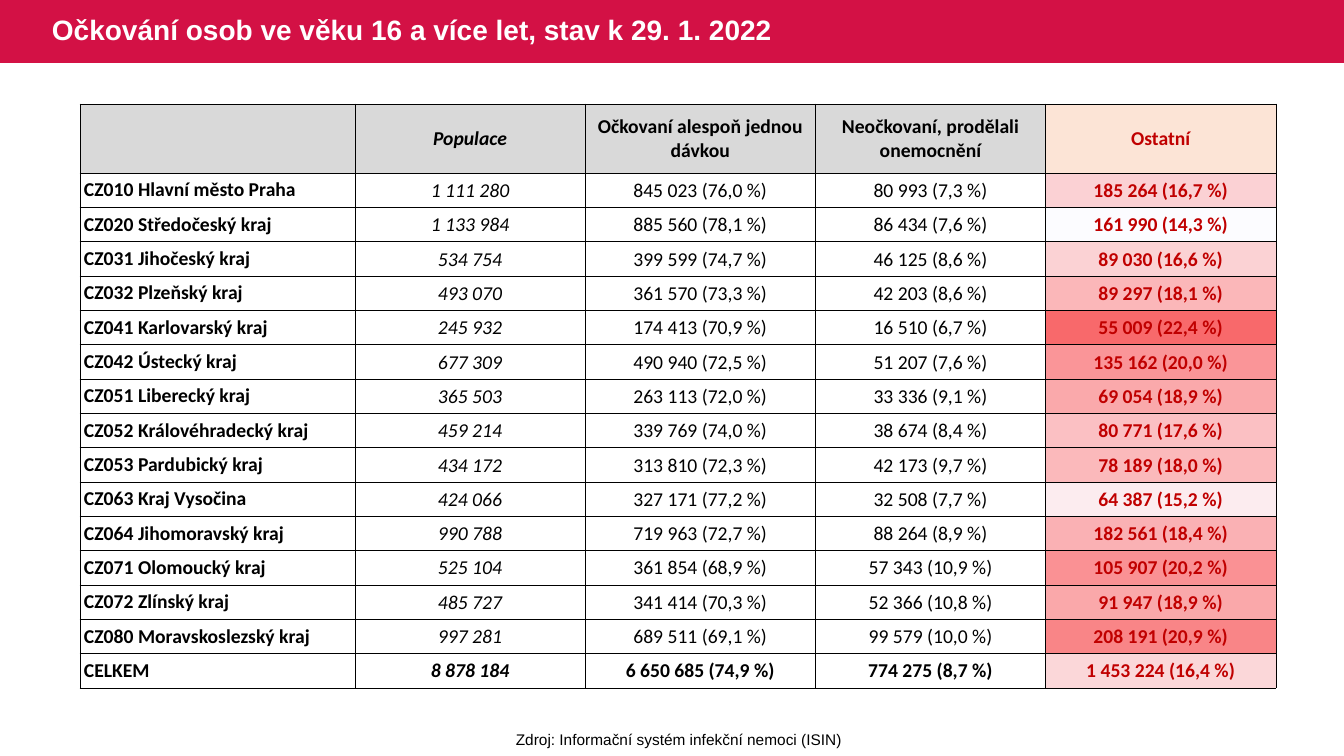
from lxml import etree
from pptx import Presentation
from pptx.dml.color import RGBColor
from pptx.enum.shapes import MSO_SHAPE
from pptx.enum.text import MSO_ANCHOR, PP_ALIGN
from pptx.oxml.ns import qn
from pptx.util import Pt

RECTANGLE = MSO_SHAPE.RECTANGLE
MIDDLE = MSO_ANCHOR.MIDDLE
LEFT, CENTER = PP_ALIGN.LEFT, PP_ALIGN.CENTER

TITLE = "Očkování osob ve věku 16 a více let, stav k 29. 1. 2022"
SOURCE = "Zdroj: Informační systém infekční nemoci (ISIN)"
HEADER = ["", "Populace", "Očkovaní alespoň jednou dávkou",
          "Neočkovaní, prodělali onemocnění", "Ostatní"]
REGIONS = [
    ("CZ010 Hlavní město Praha", "1 111 280", "845 023 (76,0 %)", "80 993 (7,3 %)", "185 264 (16,7 %)", "FBD1D4"),
    ("CZ020 Středočeský kraj", "1 133 984", "885 560 (78,1 %)", "86 434 (7,6 %)", "161 990 (14,3 %)", "FCFCFF"),
    ("CZ031 Jihočeský kraj", "534 754", "399 599 (74,7 %)", "46 125 (8,6 %)", "89 030 (16,6 %)", "FBD2D4"),
    ("CZ032 Plzeňský kraj", "493 070", "361 570 (73,3 %)", "42 203 (8,6 %)", "89 297 (18,1 %)", "FBB7B9"),
    ("CZ041 Karlovarský kraj", "245 932", "174 413 (70,9 %)", "16 510 (6,7 %)", "55 009 (22,4 %)", "F8696B"),
    ("CZ042 Ústecký kraj", "677 309", "490 940 (72,5 %)", "51 207 (7,6 %)", "135 162 (20,0 %)", "FA9598"),
    ("CZ051 Liberecký kraj", "365 503", "263 113 (72,0 %)", "33 336 (9,1 %)", "69 054 (18,9 %)", "FAA9AB"),
    ("CZ052 Královéhradecký kraj", "459 214", "339 769 (74,0 %)", "38 674 (8,4 %)", "80 771 (17,6 %)", "FBC0C3"),
    ("CZ053 Pardubický kraj", "434 172", "313 810 (72,3 %)", "42 173 (9,7 %)", "78 189 (18,0 %)", "FBB9BB"),
    ("CZ063 Kraj Vysočina", "424 066", "327 171 (77,2 %)", "32 508 (7,7 %)", "64 387 (15,2 %)", "FCECEF"),
    ("CZ064 Jihomoravský kraj", "990 788", "719 963 (72,7 %)", "88 264 (8,9 %)", "182 561 (18,4 %)", "FAB1B4"),
    ("CZ071 Olomoucký kraj", "525 104", "361 854 (68,9 %)", "57 343 (10,9 %)", "105 907 (20,2 %)", "FA9194"),
    ("CZ072 Zlínský kraj", "485 727", "341 414 (70,3 %)", "52 366 (10,8 %)", "91 947 (18,9 %)", "FAA8AA"),
    ("CZ080 Moravskoslezský kraj", "997 281", "689 511 (69,1 %)", "99 579 (10,0 %)", "208 191 (20,9 %)", "F98587"),
    ("CELKEM", "8 878 184", "6 650 685 (74,9 %)", "774 275 (8,7 %)", "1 453 224 (16,4 %)", "FBD7D9"),
]
SLIDE_WIDTH, SLIDE_HEIGHT = 1344, 756
BAND_HEIGHT = 63
TABLE_LEFT, TABLE_TOP, TABLE_WIDTH, TABLE_HEIGHT = 80, 104, 1196, 584
NAME_WIDTH, HEADER_HEIGHT = 275, 69
VALUE_WIDTH = (TABLE_WIDTH - NAME_WIDTH) / (len(HEADER) - 1)
ROW_HEIGHT = (TABLE_HEIGHT - HEADER_HEIGHT) / len(REGIONS)
BLACK, WHITE, RED, GREY, PEACH, CRIMSON = "000000", "FFFFFF", "C00000", "D9D9D9", "FCE4D6", "D31145"


def px(value):
    return round(value * 914400 / 100.8)


def color(value):
    return RGBColor.from_string(value)


def style(paragraph, font_name, size, fill, bold=False, italic=False, align=LEFT):
    paragraph.alignment = align
    font = paragraph.font
    font.name, font.size, font.bold, font.italic = font_name, Pt(size), bold, italic
    font.color.rgb = color(fill)


def add_text(slide, box, text, wrap, *font, **options):
    frame = slide.shapes.add_textbox(*map(px, box)).text_frame
    frame.word_wrap = wrap
    frame.vertical_anchor = MIDDLE
    frame.text = text
    style(frame.paragraphs[0], *font, **options)
    return frame.paragraphs[0]


def set_borders(cell, border):
    properties = cell._tc.get_or_add_tcPr()
    for index, side in enumerate(("lnL", "lnR", "lnT", "lnB")):
        line = etree.Element(qn(f"a:{side}"), w=str(Pt(0.5)))
        if border:
            solid = etree.SubElement(line, qn("a:solidFill"))
            etree.SubElement(solid, qn("a:srgbClr"), val=border)
        else:
            etree.SubElement(line, qn("a:noFill"))
        properties.insert(index, line)


def paint_cell(cell, fill, border, side_margin=0, top_margin=0):
    if fill:
        cell.fill.solid()
        cell.fill.fore_color.rgb = color(fill)
    else:
        cell.fill.background()
    set_borders(cell, border)
    cell.vertical_anchor = MIDDLE
    cell.margin_left = cell.margin_right = px(side_margin)
    cell.margin_top, cell.margin_bottom = px(top_margin), 0


def add_grid(slide, left, top, widths, heights):
    box = (left, top, sum(widths), sum(heights))
    table = slide.shapes.add_table(len(heights), len(widths), *map(px, box)).table
    table.first_row = table.horz_banding = False
    for column, width in zip(table.columns, widths):
        column.width = px(width)
    for row, height in zip(table.rows, heights):
        row.height = px(height)
    return table


def add_shading_table(slide):
    left = TABLE_LEFT + TABLE_WIDTH - VALUE_WIDTH
    table = add_grid(slide, left, TABLE_TOP + HEADER_HEIGHT, [VALUE_WIDTH],
                     [ROW_HEIGHT] * len(REGIONS))
    for row, region in enumerate(REGIONS):
        paint_cell(table.cell(row, 0), region[-1], None)


def add_region_table(slide):
    table = add_grid(slide, TABLE_LEFT, TABLE_TOP,
                     [NAME_WIDTH] + [VALUE_WIDTH] * (len(HEADER) - 1),
                     [HEADER_HEIGHT] + [ROW_HEIGHT] * len(REGIONS))
    last = len(HEADER) - 1
    for row, texts in enumerate([HEADER] + [region[:-1] for region in REGIONS]):
        is_header, is_total = row == 0, row == len(REGIONS)
        for column, text in enumerate(texts):
            cell = table.cell(row, column)
            fill = (PEACH if column == last else GREY) if is_header else None
            margins = (4, 0) if is_header or column == 0 else (1, 1)
            paint_cell(cell, fill, BLACK, *margins)
            cell.text = text
            style(cell.text_frame.paragraphs[0], "Calibri", 14, RED if column == last else BLACK,
                  bold=is_header or is_total or column in (0, last), italic=column == 1,
                  align=CENTER if column else LEFT)


def main():
    presentation = Presentation()
    presentation.slide_width, presentation.slide_height = px(SLIDE_WIDTH), px(SLIDE_HEIGHT)
    slide = presentation.slides.add_slide(presentation.slide_layouts[6])
    band = slide.shapes.add_shape(RECTANGLE, 0, 0, px(SLIDE_WIDTH), px(BAND_HEIGHT))
    band.shadow.inherit = False
    band.fill.solid()
    band.fill.fore_color.rgb = color(CRIMSON)
    band.line.fill.background()
    add_shading_table(slide)
    title = add_text(slide, (42, 0, 835, BAND_HEIGHT), TITLE, True, "Arial", 20, WHITE, bold=True)
    title.line_spacing = 0.9
    add_region_table(slide)
    add_text(slide, (505, 725, 348, 29), SOURCE, False, "Arial", 11, BLACK, align=CENTER)
    presentation.save("out.pptx")


if __name__ == "__main__":
    main()
